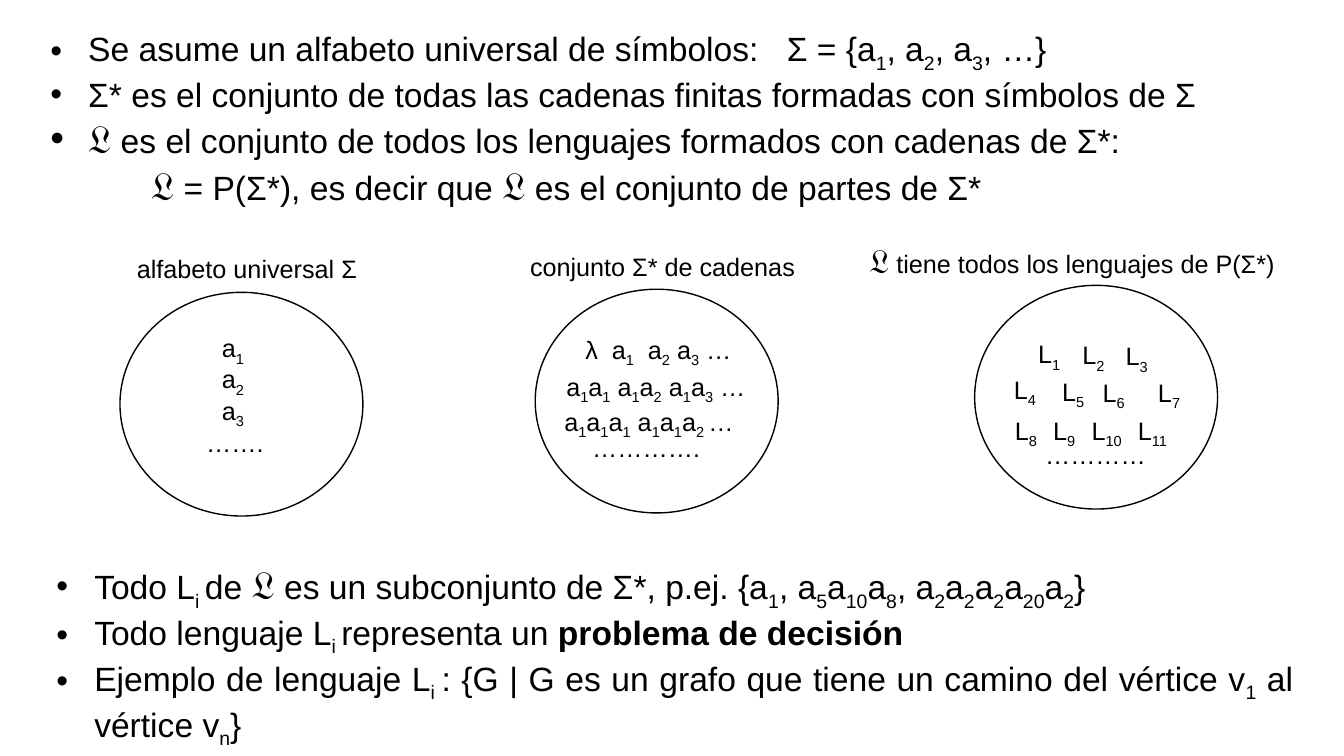
"""Build a slide on universal alphabets, strings and formal languages."""
from dataclasses import dataclass
from itertools import groupby

from pptx import Presentation
from pptx.dml.color import RGBColor
from pptx.enum import shapes, text
from pptx.oxml import xmlchemy
from pptx.util import Pt


@dataclass(frozen=True)
class Theme:
    font: str = "Arial"
    ink: RGBColor = RGBColor(0, 0, 0)
    paper: RGBColor = RGBColor(255, 255, 255)
    body: int = 24
    body_script: int = 28
    label: int = 18
    label_script: int = 24
    outline: float = 1


LEFT, CENTER, JUSTIFY = text.PP_ALIGN.LEFT, text.PP_ALIGN.CENTER, text.PP_ALIGN.JUSTIFY
SCRIPT_L = "𝔏"


def styled_chars(markup):
    """Yield each character with its style; _ toggles subscript, ^ toggles bold."""
    subscript = bold = False
    for char in markup:
        if char == "_":
            subscript = not subscript
        elif char == "^":
            bold = not bold
        else:
            yield char, (subscript, bold, char == SCRIPT_L)


def write(paragraph, markup, *, theme, size, script_size, align=LEFT,
          margin=0, indent=0, bullet=False, tabs=()):
    """Fill a paragraph with marked-up text and format it."""
    paragraph.alignment = align
    paragraph.line_spacing = 1.0
    paragraph.space_before = paragraph.space_after = Pt(0)
    properties = paragraph._p.get_or_add_pPr()
    properties.set("marL", str(Pt(margin)))
    properties.set("indent", str(Pt(indent)))
    if bullet:
        mark = xmlchemy.OxmlElement("a:buChar")
        mark.set("char", "•")
    else:
        mark = xmlchemy.OxmlElement("a:buNone")
    properties.append(mark)
    if tabs:
        stops = xmlchemy.OxmlElement("a:tabLst")
        for position in tabs:
            stop = xmlchemy.OxmlElement("a:tab")
            stop.set("pos", str(Pt(position)))
            stop.set("algn", "l")
            stops.append(stop)
        properties.append(stops)
    for (subscript, bold, script), group in groupby(styled_chars(markup), lambda pair: pair[1]):
        run = paragraph.add_run()
        run.text = "".join(char for char, _ in group)
        run.font.name = theme.font
        run.font.size = Pt(script_size if script else size)
        run.font.bold = bold
        run.font.color.rgb = theme.ink
        if subscript:
            run.font._element.set("baseline", "-25000")


class SlideBuilder:
    """Hold the theme and slide, and add each kind of element."""

    def __init__(self, slide, theme):
        self.slide, self.theme = slide, theme
        slide.background.fill.solid()
        slide.background.fill.fore_color.rgb = theme.paper

    def label(self, markup, left, top, width, height=28.8, **options):
        """Add a short text."""
        box = self.slide.shapes.add_textbox(Pt(left), Pt(top), Pt(width), Pt(height))
        box.text_frame.word_wrap = True
        write(box.text_frame.paragraphs[0], markup, theme=self.theme, size=self.theme.label,
              script_size=self.theme.label_script, **options)

    def statements(self, index, lines, left, top, width, height):
        """Move a body placeholder and fill it with statements."""
        body = self.slide.placeholders[index]
        body.left, body.top, body.width, body.height = Pt(left), Pt(top), Pt(width), Pt(height)
        frame = body.text_frame
        frame.word_wrap = True
        frame.auto_size = text.MSO_AUTO_SIZE.NONE
        frame.vertical_anchor = text.MSO_ANCHOR.TOP
        for number, (markup, options) in enumerate(lines):
            paragraph = frame.add_paragraph() if number else frame.paragraphs[0]
            write(paragraph, markup, theme=self.theme, size=self.theme.body,
                  script_size=self.theme.body_script, align=JUSTIFY, **options)

    def set_outline(self, left, top, width=173.5, height=159.8):
        """Add the unfilled circle around a set."""
        circle = self.slide.shapes.add_shape(
            shapes.MSO_SHAPE.FLOWCHART_CONNECTOR, Pt(left), Pt(top), Pt(width), Pt(height))
        circle.shadow.inherit = False
        circle.fill.background()
        circle.line.color.rgb = self.theme.ink
        circle.line.width = Pt(self.theme.outline)


BULLET = dict(margin=27, indent=-27, bullet=True)
PREMISES = [
    ("Se asume un alfabeto universal de símbolos:\tƩ = {a_1_, a_2_, a_3_, …}",
     dict(BULLET, tabs=[526])),
    ("Ʃ* es el conjunto de todas las cadenas finitas formadas con símbolos de Ʃ", BULLET),
    ("𝔏 es el conjunto de todos los lenguajes formados con cadenas de Ʃ*:", BULLET),
    ("𝔏 = P(Ʃ*), es decir que 𝔏 es el conjunto de partes de Ʃ*", dict(margin=72)),
]
CONCLUSIONS = [
    ("Todo L_i _de 𝔏 es un subconjunto de Ʃ*, p.ej. "
     "{a_1_, a_5_a_10_a_8_, a_2_a_2_a_2_a_20_a_2_}", BULLET),
    ("Todo lenguaje L_i _representa un ^problema de decisión^", BULLET),
    ("Ejemplo de lenguaje L_i _: {G | G es un grafo que tiene un camino "
     "del vértice v_1_ al vértice v_n_}", BULLET),
]
LANGUAGES = [
    (734.4, 238.3), (766.1, 239), (797, 239.8),
    (717.1, 263.5), (751.7, 265), (780.5, 265.7), (820.1, 265.7),
    (717.8, 293), (745.2, 293), (772.6, 293), (805.7, 293),
]

deck = Presentation()
deck.slide_width, deck.slide_height = Pt(960), Pt(540)
page = deck.slides.add_slide(deck.slide_layouts[3])
unused_title = page.shapes.title._element
unused_title.getparent().remove(unused_title)
builder = SlideBuilder(page, Theme())

builder.statements(1, PREMISES, 28.8, 16.6, 905.8, 150)
builder.statements(2, CONCLUSIONS, 33.1, 396.7, 897.8, 143)

builder.label("alfabeto universal Ʃ", 90.7, 177.1, 180)
builder.label("conjunto Ʃ* de cadenas", 371.5, 175.7, 215)
builder.label("𝔏 tiene todos los lenguajes de P(Ʃ*)", 600.5, 167.8, 330.5, 36, align=CENTER)

for number in range(1, 4):
    builder.label(f"a_{number}_", 145.5, 234 + 22.3 * (number - 1), 41.7, align=CENTER)
builder.label("…….", 139.7, 301.7, 56.2, align=CENTER)

for symbols, left, width in [("λ", 411.1, 30), ("a_1_", 430, 40), ("a_2_ a_3_ …", 455.7, 90)]:
    builder.label(symbols, left, 235.4, width)
builder.label("a_1_a_1_ a_1_a_2_ a_1_a_3_ …", 397.4, 261.4, 159)
builder.label("a_1_a_1_a_1_ a_1_a_1_a_2 _…", 396, 286.6, 145)
builder.label("………….", 415.4, 305.3, 92.2, align=CENTER)

for number, (left, top) in enumerate(LANGUAGES, 1):
    builder.label(f"L_{number}_", left, top, 45)
builder.label("…………", 739.4, 310.3, 90)

for left, top in [(85.7, 208.8), (382.3, 206.6), (696.2, 203.8)]:
    builder.set_outline(left, top)

deck.save("out.pptx")
